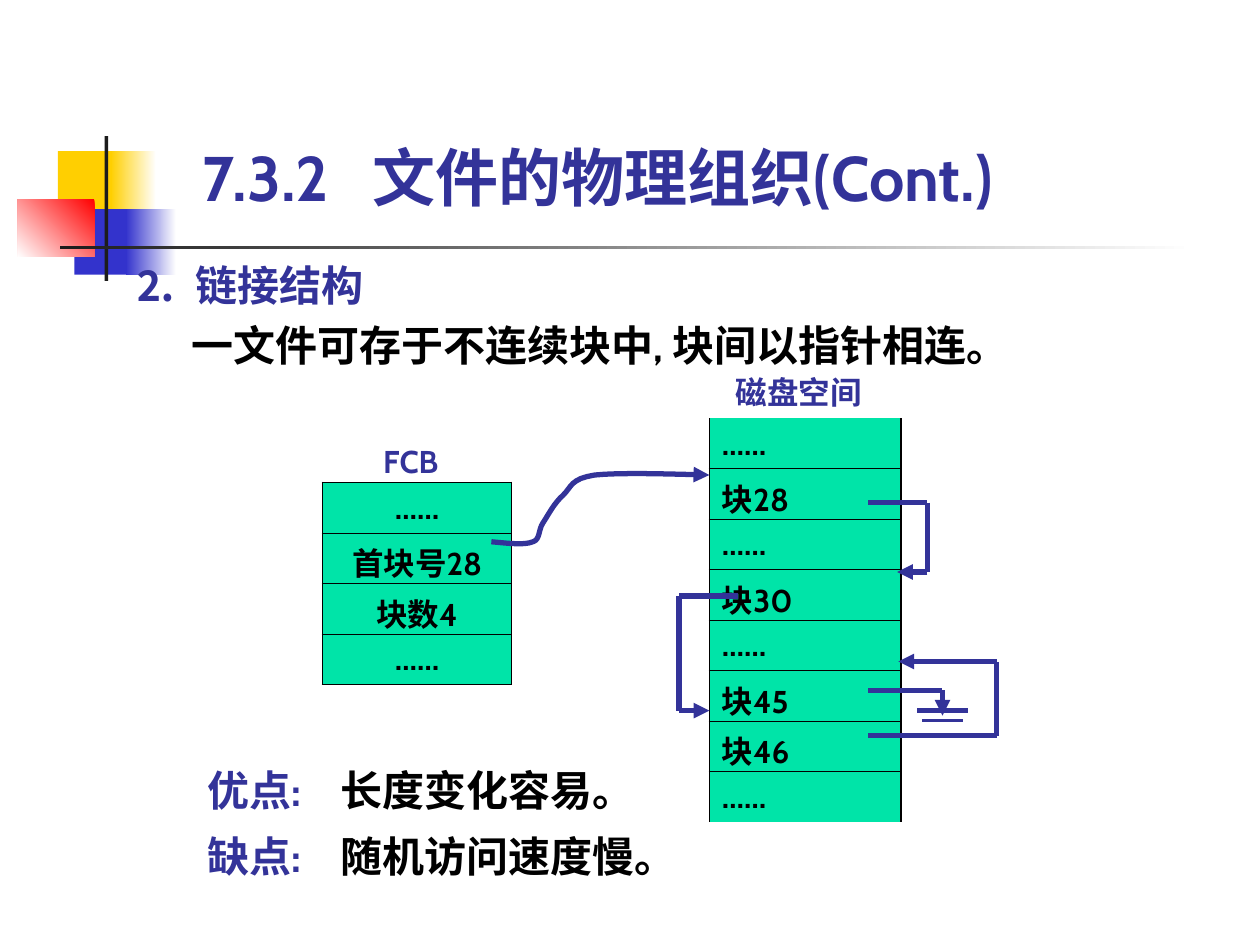
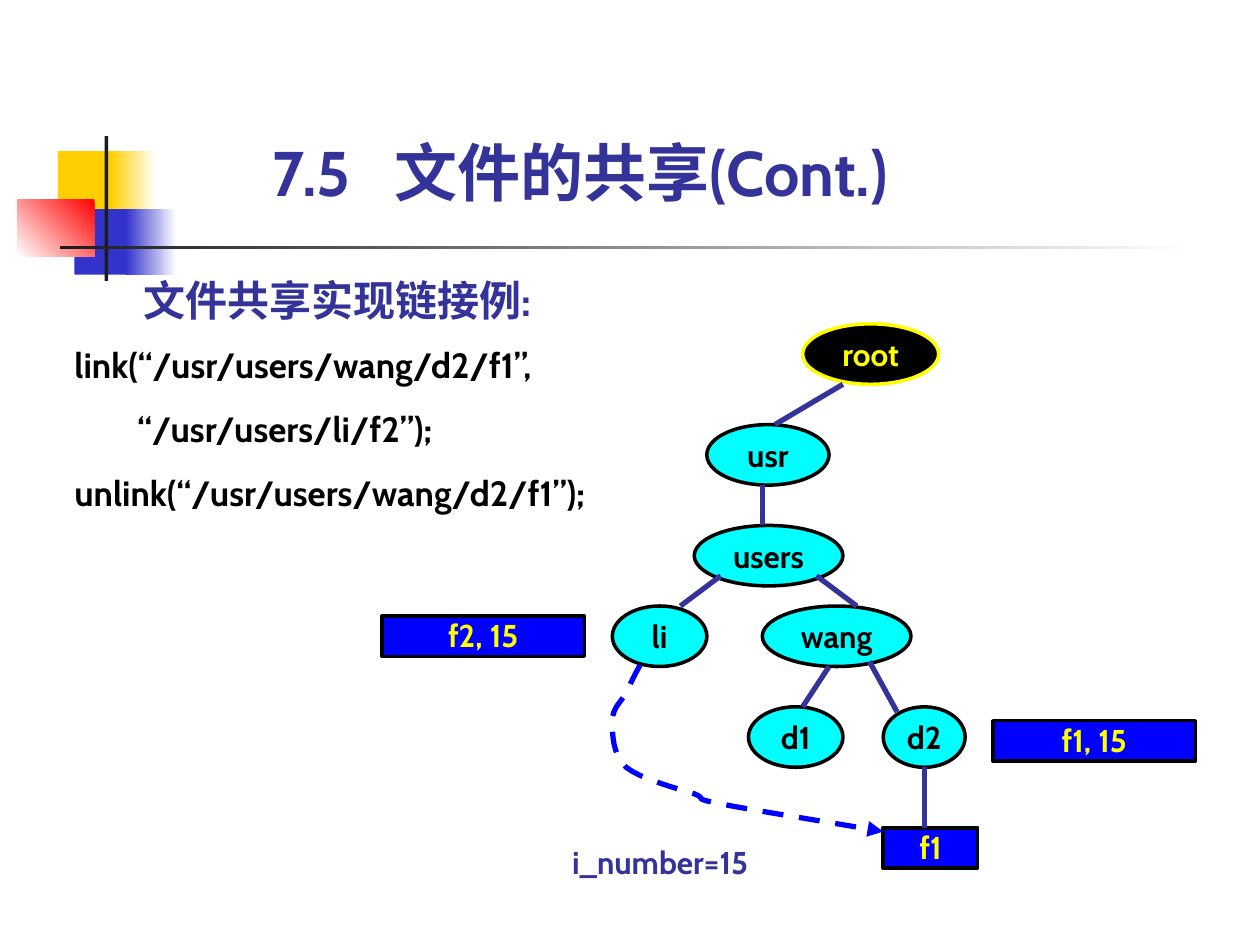
import dataclasses

import lxml.etree
import pptx
import pptx.dml.color
import pptx.enum.dml
import pptx.enum.lang
import pptx.enum.shapes
import pptx.enum.text
import pptx.oxml.ns
import pptx.util

RGBColor = pptx.dml.color.RGBColor
NAVY = RGBColor(0x33, 0x33, 0x99)
ROYAL = RGBColor(0x33, 0x33, 0xCC)
BLUE = RGBColor(0x00, 0x00, 0xFF)
CYAN = RGBColor(0x00, 0xFF, 0xFF)
GREEN = RGBColor(0x00, 0xE4, 0xA8)
GOLD = RGBColor(0xFF, 0xCF, 0x01)
YELLOW = RGBColor(0xFF, 0xFF, 0x00)
RED = RGBColor(0xFF, 0x00, 0x00)
CHARCOAL = RGBColor(0x1C, 0x1C, 0x1C)
BLACK = RGBColor(0x00, 0x00, 0x00)
WHITE = RGBColor(0xFF, 0xFF, 0xFF)

# The slide is a grid of 100 columns by 75 rows
COLUMNS, ROWS = 100, 75
SLIDE_WIDTH, SLIDE_HEIGHT = pptx.util.Inches(10), pptx.util.Inches(7.5)
LINK_WIDTH = 3
OUTER_BORDER, INNER_BORDER = 1.08, 0.45

OVAL = pptx.enum.shapes.MSO_SHAPE.OVAL
RECTANGLE = pptx.enum.shapes.MSO_SHAPE.RECTANGLE
CENTER = pptx.enum.text.PP_ALIGN.CENTER
TOP = pptx.enum.text.MSO_ANCHOR.TOP
MIDDLE = pptx.enum.text.MSO_ANCHOR.MIDDLE
BOTTOM = pptx.enum.text.MSO_ANCHOR.BOTTOM
TEXT = {"name": "Cabin", "bold": True,
        "language_id": pptx.enum.lang.MSO_LANGUAGE_ID.SIMPLIFIED_CHINESE}


@dataclasses.dataclass
class Region:
    """A box on a page; its parts are given in columns and rows from its corner."""
    page: object
    left: float
    top: float
    width: float
    height: float

    def point(self, column, row):
        return (round((self.left + column) * SLIDE_WIDTH / COLUMNS),
                round((self.top + row) * SLIDE_HEIGHT / ROWS))

    def place(self, column, row, width, height):
        return (*self.point(column, row), round(width * SLIDE_WIDTH / COLUMNS),
                round(height * SLIDE_HEIGHT / ROWS))


def assign(target, values):
    for name, value in values.items():
        setattr(target, name, value)


def add_element(parent, tag, **attributes):
    element = lxml.etree.SubElement(parent, pptx.oxml.ns.qn(tag))
    for name, value in attributes.items():
        element.set(name, str(value))
    return element


# ---- Text ----
def write(frame, paragraphs, size, color, tab=None, **layout):
    """Each paragraph is a list of (text, color or None) spans."""
    for index, spans in enumerate(paragraphs):
        para = frame.add_paragraph() if index else frame.paragraphs[0]
        if tab:
            tabs = add_element(para._p.get_or_add_pPr(), "a:tabLst")
            add_element(tabs, "a:tab", pos=pptx.util.Inches(tab), algn="l")
        assign(para, layout)
        if index == 0:
            para.space_before = pptx.util.Pt(0)
        for text, span_color in spans:
            span = para.add_run()
            span.text = text
            assign(span.font, TEXT | {"size": pptx.util.Pt(size)})
            span.font.color.rgb = span_color or color


def set_frame(frame, anchor, wrap=True, margin=0.0):
    assign(frame, {"word_wrap": wrap, "vertical_anchor": anchor})
    for side in ("left", "right"):
        setattr(frame, f"margin_{side}", pptx.util.Inches(margin))
    for side in ("top", "bottom"):
        setattr(frame, f"margin_{side}", pptx.util.Inches(margin / 2))


def add_text(region, spot, paragraphs, size, color=NAVY, anchor=TOP, **layout):
    frame = region.page.shapes.add_textbox(*region.place(*spot)).text_frame
    set_frame(frame, anchor)
    frame.auto_size = pptx.enum.text.MSO_AUTO_SIZE.SHAPE_TO_FIT_TEXT
    write(frame, paragraphs, size, color, **layout)
    return frame


def add_title(region, text, tab, line_spacing=1.0):
    add_text(region, (0, 0, region.width, region.height), [[(text, None)]], 36,
             anchor=BOTTOM, tab=tab, line_spacing=line_spacing)


# ---- Shapes and lines ----
def add_block(region, kind, spot, fill=None, fade=None, angle=0, line=None):
    block = region.page.shapes.add_shape(kind, *region.place(*spot))
    block.shadow.inherit = False
    if fade:
        block.fill.gradient()
        block.fill.gradient_angle = angle
        for stop, color in zip(block.fill.gradient_stops, fade):
            stop.color.rgb = color
    else:
        block.fill.solid()
        block.fill.fore_color.rgb = fill
    if line is None:
        block.line.fill.background()
    else:
        block.line.color.rgb = line
        block.line.width = pptx.util.Pt(2)
    return block


def style_line(line, color, width, arrow, dash=None):
    line.color.rgb = color
    line.width = pptx.util.Pt(width)
    if dash:
        line.dash_style = dash
    if arrow:
        add_element(line._get_or_add_ln(), "a:tailEnd", type="triangle")


def add_route(region, points, width=LINK_WIDTH, arrow=False):
    """Straight lines through the points, the last one with the arrowhead."""
    legs = list(zip(points, points[1:]))
    for index, (start, end) in enumerate(legs, 1):
        leg = region.page.shapes.add_connector(
            pptx.enum.shapes.MSO_CONNECTOR.STRAIGHT,
            *region.point(*start), *region.point(*end))
        style_line(leg.line, NAVY, width, arrow and index == len(legs))
        add_element(leg._element.spPr, "a:effectLst")


def add_curve(region, points, color, dash=None, steps=8):
    """An open chain of cubic curves: a start, then three points for each."""
    trace = []
    for first in range(0, len(points) - 1, 3):
        for step in range(1, steps + 1):
            t = step / steps
            weights = ((1 - t) ** 3, 3 * t * (1 - t) ** 2, 3 * t * t * (1 - t), t ** 3)
            corners = points[first:first + 4]
            trace.append(region.point(
                *(sum(w * c[axis] for w, c in zip(weights, corners)) for axis in (0, 1))))
    builder = region.page.shapes.build_freeform(*region.point(*points[0]))
    builder.add_line_segments(trace, close=False)
    curve = builder.convert_to_shape()
    curve.shadow.inherit = False
    curve.fill.background()
    style_line(curve.line, color, LINK_WIDTH, True, dash)


# ---- Tables ----
def set_borders(cell, top, bottom):
    widths = {"L": OUTER_BORDER, "R": OUTER_BORDER, "T": top, "B": bottom}
    properties = cell._tc.get_or_add_tcPr()
    for index, (side, width) in enumerate(widths.items()):
        border = add_element(properties, f"a:ln{side}", w=pptx.util.Pt(width))
        if width:
            add_element(add_element(border, "a:solidFill"), "a:srgbClr", val=BLACK)
        else:
            add_element(border, "a:noFill")
        properties.insert(index, border)


def add_stack(region, spot, labels, edge, **layout):
    """A one-column table; edge is the width of its top and bottom border."""
    table = region.page.shapes.add_table(len(labels), 1, *region.place(*spot)).table
    assign(table, {"first_row": False, "horz_banding": False})
    for index, label in enumerate(labels):
        cell = table.cell(index, 0)
        cell.vertical_anchor = MIDDLE
        cell.fill.solid()
        cell.fill.fore_color.rgb = GREEN
        set_borders(cell, INNER_BORDER if index else edge,
                    INNER_BORDER if index < len(labels) - 1 else edge)
        write(cell.text_frame, [[(label, None)]], 18, BLACK, **layout)


# ---- Regions ----
def draw_emblem(region):
    for spot, look in (
        ((3.2, 1.2, 4.8, 5.2), {"fill": GOLD}),
        ((7.4, 1.2, 3.6, 5.2), {"fade": (WHITE, GOLD), "angle": 180}),
        ((4.5, 5.8, 4.6, 5.2), {"fill": ROYAL}),
        ((8.6, 5.8, 4, 5.2), {"fade": (WHITE, ROYAL), "angle": 180}),
        ((0, 5, 6.1, 4.6), {"fade": (RED, WHITE), "angle": 225}),
        ((6.9, 0, 0.3, 11.5), {"fill": CHARCOAL}),
        ((3.4, 8.7, 90, 0.3), {"fade": (WHITE, CHARCOAL), "angle": 180}),
    ):
        add_block(region, RECTANGLE, spot, **look)


def draw_chain(region):
    # File control block and disk space
    add_text(region, (4.5, 6.1, 6.2, 3), [[("FCB", None)]], 18, alignment=CENTER)
    add_stack(region, (0.6, 9.3, 15, 12.6), ("……", "首块号28", "块数4", "……"),
              OUTER_BORDER, alignment=CENTER)
    add_stack(region, (31.3, 4.2, 15.2, 29.8),
              ("……", "块28", "……", "块30", "……", "块45", "块46", "……"), 0)
    add_text(region, (32.9, 0.6, 11, 3), [[("磁盘空间", None)]], 18, alignment=CENTER)
    # Pointer from the control block to the first block
    add_curve(region, [
        (14, 14), (15.2, 14.1), (16.6, 14.3), (17.3, 14), (17.9, 13.8), (17.7, 13.1),
        (18.1, 12.5), (18.5, 11.9), (19, 10.9), (19.7, 10.3), (20.4, 9.6), (20.3, 9),
        (22.2, 8.7), (24.1, 8.5), (27.7, 8.6), (31.3, 8.7)], NAVY)
    # Pointers between blocks, the last one to the end mark
    for route in (
        ((43.9, 10.9), (48.6, 10.9), (48.6, 16.4), (46.2, 16.4)),
        ((33.6, 18.3), (28.9, 18.3), (28.9, 27.4), (31.3, 27.4)),
        ((43.9, 29.4), (54.1, 29.4), (54.1, 23.5), (46.3, 23.5)),
        ((43.9, 25.8), (49.8, 25.8), (49.8, 27.8)),
    ):
        add_route(region, route, arrow=True)
    add_route(region, ((47.8, 27.4), (51.8, 27.4)), width=2.75)
    add_route(region, ((48.2, 28.2), (51.4, 28.2)), width=1.75)


def draw_tree(region):
    # Directories
    for name, column, row, width in (
        ("root", 33.7, 0.7, 10.8), ("usr", 26.1, 8.7, 9.7), ("users", 25.1, 16.7, 11.8),
        ("wang", 30.5, 23.1, 11.8), ("li", 18.6, 23.1, 7.5), ("d1", 29.4, 31.1, 7.5),
        ("d2", 40.1, 31.1, 6.5),
    ):
        fill, ink, line = (BLACK, YELLOW, YELLOW) if name == "root" else (CYAN, BLACK, BLACK)
        node = add_block(region, OVAL, (column, row, width, 4.8), fill, line=line)
        set_frame(node.text_frame, MIDDLE, wrap=False, margin=0.1)
        write(node.text_frame, [[(name, None)]], 18, ink, alignment=CENTER)
    # File and directory entries
    for name, column, row, width in (
        ("f1", 40.1, 40.7, 7.5), ("f2, 15", 0.3, 23.9, 16.1), ("f1, 15", 48.8, 32.2, 16.1),
    ):
        entry = add_block(region, RECTANGLE, (column, row, width, 3.2), BLUE, line=BLACK)
        set_frame(entry.text_frame, TOP)
        write(entry.text_frame, [[(name, None)]], 18, YELLOW, alignment=CENTER)
    # Branches
    for branch in (
        ((36.9, 5.5), (31.5, 8.7)), ((30.5, 13.5), (30.5, 16.7)),
        ((27.2, 20.7), (24, 23.1)), ((34.8, 20.7), (38, 23.1)),
        ((35.8, 27.9), (33.7, 31.1)), ((39, 27.5), (41.2, 31.5)),
        ((43.4, 35.9), (43.4, 40.7)),
    ):
        add_route(region, branch)
    # Shared link
    add_curve(region, [
        (20.8, 27.8), (20.4, 28.5), (20, 29.3), (19.7, 30), (19.3, 30.7), (18.6, 31.2),
        (18.6, 32.2), (18.6, 33.2), (18.6, 34.9), (19.7, 35.9), (20.8, 36.8), (23.8, 37.6),
        (25.1, 38), (26.3, 38.5), (24.7, 38.3), (27.2, 38.8), (29.7, 39.3), (34.9, 40.1),
        (40.1, 41)], BLUE, pptx.enum.dml.MSO_LINE.DASH)
    add_text(region, (15.4, 41.9, 23.7, 3), [[("i_number=15", None)]], 18)


# ---- Slides ----
def add_page(deck):
    page = deck.slides.add_slide(deck.slide_layouts[6])
    draw_emblem(Region(page, 1.4, 10.8, 93.4, 11.5))
    return page


def build_linked_structure(deck):
    page = add_page(deck)
    whole = Region(page, 0, 0, COLUMNS, ROWS)
    body = add_text(whole, (10.7, 19.8, 73.2, 9.6), [
        [("⒉\t", None), ("链接结构", None)],
        [("一文件可存于不连续块中, 块间以指针相连。", BLACK)],
    ], 24, tab=0.48, line_spacing=1.2)
    body.paragraphs[0].runs[0].font.name = "Arial"
    body.paragraphs[1]._p.get_or_add_pPr().set("marL", str(pptx.util.Inches(0.45)))
    add_title(Region(page, 16.1, 11, 71.6, 6), "7.3.2\t文件的物理组织(Cont.)", 1.35)
    add_text(whole, (16.5, 59.5, 36.6, 15.6), [
        [("优点:\t", None), ("长度变化容易。", BLACK)],
        [("缺点:\t", None), ("随机访问速度慢。", BLACK)],
    ], 24, tab=1.05, line_spacing=1.3)
    draw_chain(Region(page, 25, 29, 55, 35))


def build_file_sharing(deck):
    page = add_page(deck)
    whole = Region(page, 0, 0, COLUMNS, ROWS)
    add_title(Region(page, 21.6, 11.3, 56.7, 5.4), "7.5\t文件的共享(Cont.)", 0.97, 0.9)
    add_text(whole, (11.4, 21.8, 37.8, 4), [[("文件共享实现链接例:", None)]], 24)
    draw_tree(Region(page, 30, 25, 65, 45))
    add_text(whole, (5.9, 27.3, 51.2, 13.5), [
        [("link(“/usr/users/wang/d2/f1”,", None)],
        [("        “/usr/users/li/f2”);", None)],
        [("unlink(“/usr/users/wang/d2/f1”);", None)],
    ], 20, BLACK, space_before=pptx.util.Pt(12.5))


def main():
    deck = pptx.Presentation()
    assign(deck, {"slide_width": SLIDE_WIDTH, "slide_height": SLIDE_HEIGHT})
    build_linked_structure(deck)
    build_file_sharing(deck)
    deck.save("out.pptx")


if __name__ == "__main__":
    main()
